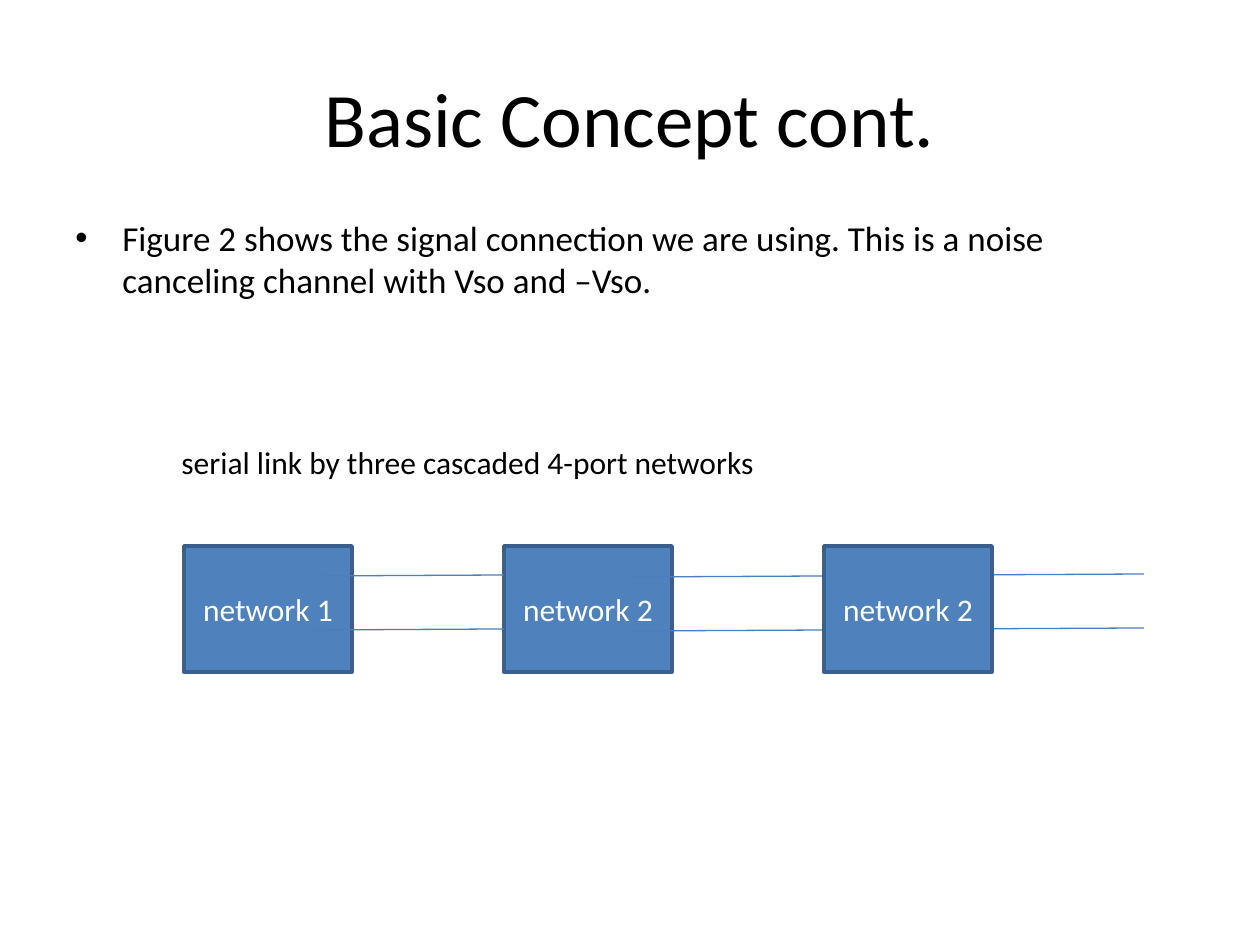
from pptx import Presentation
from pptx import util as u
from pptx.dml.color import RGBColor
from pptx.enum import shapes, text
from pptx.oxml.ns import qn
from lxml import etree

BLACK = RGBColor(0x00, 0x00, 0x00)
WHITE = RGBColor(0xFF, 0xFF, 0xFF)
BLUE = RGBColor(0x4F, 0x81, 0xBD)
EDGE = RGBColor(0x3A, 0x5F, 0x8C)
WIRE = RGBColor(0x4B, 0x7E, 0xBC)
SCALE = u.Inches(1) / 126


def px(n):
    return u.Emu(round(n * SCALE))


class Page:
    font = "Calibri"

    def __init__(self, deck):
        self.slide = deck.slides.add_slide(deck.slide_layouts[6])
        self.items = self.slide.shapes

    def fill_text(self, frame, words, size, color, align, anchor):
        frame.text = words
        frame.vertical_anchor = anchor
        para = frame.paragraphs[0]
        para.alignment = align
        font = para.runs[0].font
        font.name, font.size = self.font, u.Pt(size)
        font.color.rgb = color
        return para

    def label(self, x, y, w, h, words, size, align=text.PP_ALIGN.LEFT,
              anchor=text.MSO_ANCHOR.TOP, wrap=True):
        frame = self.items.add_textbox(px(x), px(y), px(w), px(h)).text_frame
        frame.word_wrap = wrap
        return self.fill_text(frame, words, size, BLACK, align, anchor)

    def bullet(self, x, y, w, h, words, size):
        para = self.label(x, y, w, h, words, size)
        para.space_before = u.Pt(size * 0.2)
        props = para._p.get_or_add_pPr()
        props.set("marL", str(px(47)))
        props.set("indent", str(-px(47)))
        font = etree.SubElement(props, qn("a:buFont"))
        font.set("typeface", "Arial")
        etree.SubElement(props, qn("a:buChar")).set("char", "•")

    def box(self, x, y, w, h, words):
        item = self.items.add_shape(shapes.MSO_SHAPE.RECTANGLE,
                                    px(x), px(y), px(w), px(h))
        item.shadow.inherit = False
        item.fill.solid()
        item.fill.fore_color.rgb = BLUE
        item.line.color.rgb = EDGE
        item.line.width = u.Pt(2)
        self.fill_text(item.text_frame, words, 18, WHITE,
                       text.PP_ALIGN.CENTER, text.MSO_ANCHOR.MIDDLE)

    def wire(self, x1, y1, x2, y2):
        item = self.items.add_connector(shapes.MSO_CONNECTOR.STRAIGHT,
                                        px(x1), px(y1), px(x2), px(y2))
        item.line.color.rgb = WIRE
        item.line.width = u.Pt(0.75)
        etree.SubElement(item._element.spPr, qn("a:effectLst"))


deck = Presentation()
deck.slide_width, deck.slide_height = px(1260), px(945)
page = Page(deck)

# Title and body
page.label(63, 38, 1134, 157, "Basic Concept cont.", 44,
           text.PP_ALIGN.CENTER, text.MSO_ANCHOR.MIDDLE)
page.bullet(63, 210, 1134, 179,
            "Figure 2 shows the signal connection we are using. "
            "This is a noise canceling channel with Vso and –Vso.", 20)

# Networks in a row; the last one lies over the wires
LEFT, STEP, TOP = 184, 320, 546
names = ["network 1", "network 2", "network 2"]


def network(i):
    page.box(LEFT + i * STEP, TOP, 168, 126, names[i])


network(0)
network(1)

# A pair of wires leaves each network
for i, y in enumerate([576, 577, 575]):
    x = LEFT + 126 + i * STEP
    for drop in (0, 54):
        page.wire(x, y + drop, x + 194, y + drop - 1)

network(2)

# Caption
page.label(169, 437, 605, 50, "serial link by three cascaded 4-port networks",
           18, wrap=False)

deck.save("out.pptx")
